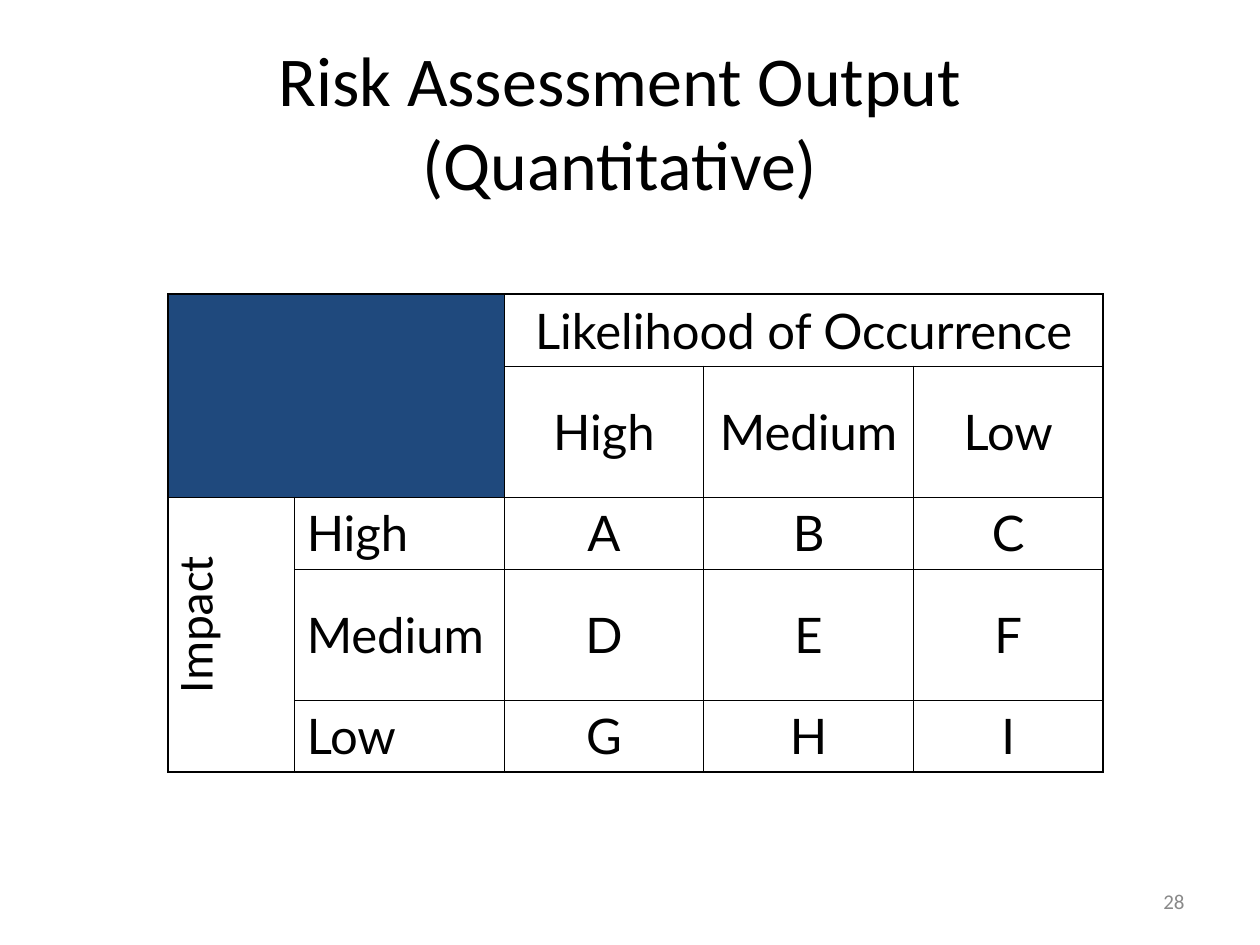
from dataclasses import dataclass

from lxml import etree
from pptx import Presentation
from pptx.dml.color import RGBColor
from pptx.enum.text import MSO_ANCHOR, MSO_AUTO_SIZE, PP_ALIGN
from pptx.oxml.ns import qn
from pptx.util import Cm, Pt

LEFT, CENTER, RIGHT = PP_ALIGN.LEFT, PP_ALIGN.CENTER, PP_ALIGN.RIGHT
MIDDLE = MSO_ANCHOR.MIDDLE
GROW = MSO_AUTO_SIZE.SHAPE_TO_FIT_TEXT


@dataclass(frozen=True)
class Theme:
    ink: str = "000000"
    navy: str = "1F497D"
    gray: str = "898989"
    font: str = "Calibri"
    grid: str = "Lato"
    head: float = 40
    body: float = 28
    small: float = 12
    thick: float = 1.08
    thin: float = 0.45


THEME = Theme()
COLS = [2.54, 4.24, 4.01, 4.24, 3.81]
ROWS = [1.45, 2.64, 1.45, 2.64, 1.45]
LEVELS = ["High", "Medium", "Low"]
GRADES = ["ABC", "DEF", "GHI"]


def style(frame, text, size, align, color=THEME.ink, font=THEME.font):
    frame.text = text
    for para in frame.paragraphs:
        para.alignment = align
        for run in para.runs:
            run.font.size = Pt(size)
            run.font.name = font
            run.font.color.rgb = RGBColor.from_string(color)


def add_title(slide, left, top, width, height):
    title = slide.shapes.title
    title.left, title.top = Cm(left), Cm(top)
    title.width, title.height = Cm(width), Cm(height)
    title.text_frame.vertical_anchor = MIDDLE
    text = "Risk Assessment Output\v(Quantitative)"
    style(title.text_frame, text, THEME.head, CENTER)


def add_page(slide, left, top, width, height):
    box = slide.shapes.add_textbox(Cm(left), Cm(top), Cm(width), Cm(height))
    box.text_frame.word_wrap = True
    box.text_frame.vertical_anchor = MIDDLE
    style(box.text_frame, "28", THEME.small, RIGHT, THEME.gray)


def set_edges(cell, row, col):
    outer = {
        "L": col == 0,
        "R": col + cell.span_width == len(COLS),
        "T": row == 0,
        "B": row + cell.span_height == len(ROWS),
    }
    props = cell._tc.get_or_add_tcPr()
    for spot, (side, edge) in enumerate(outer.items()):
        width = THEME.thick if edge else THEME.thin
        line = etree.Element(qn(f"a:ln{side}"), w=str(int(Pt(width))))
        fill = etree.SubElement(line, qn("a:solidFill"))
        etree.SubElement(fill, qn("a:srgbClr"), val=THEME.ink)
        props.insert(spot, line)


def fill_cell(cell, text, align):
    cell.vertical_anchor = MIDDLE
    style(cell.text_frame, text, THEME.body, align, font=THEME.grid)


def add_matrix(slide, left, top):
    frame = slide.shapes.add_table(
        len(ROWS), len(COLS), Cm(left), Cm(top), Cm(sum(COLS)), Cm(sum(ROWS))
    )
    table = frame.table
    table.first_row = table.horz_banding = False
    for col, width in zip(table.columns, COLS):
        col.width = Cm(width)
    for row, height in zip(table.rows, ROWS):
        row.height = Cm(height)

    cell = table.cell
    cell(0, 0).merge(cell(1, 1))
    cell(0, 2).merge(cell(0, 4))
    cell(2, 0).merge(cell(4, 0))

    fill_cell(cell(0, 2), "Likelihood of Occurrence", CENTER)
    for i, (level, grades) in enumerate(zip(LEVELS, GRADES), 2):
        fill_cell(cell(1, i), level, CENTER)
        fill_cell(cell(i, 1), level, LEFT)
        for j, grade in enumerate(grades, 2):
            fill_cell(cell(i, j), grade, CENTER)

    for i in range(len(ROWS)):
        for j in range(len(COLS)):
            cell(i, j).fill.background()
            if not cell(i, j).is_spanned:
                set_edges(cell(i, j), i, j)
    corner = cell(0, 0).fill
    corner.solid()
    corner.fore_color.rgb = RGBColor.from_string(THEME.navy)

    add_side(slide, left - 1.13, top + 5.93, 3.28, 1.45)


def add_side(slide, left, top, width, height):
    box = slide.shapes.add_textbox(Cm(left), Cm(top), Cm(width), Cm(height))
    box.rotation = 270
    box.text_frame.word_wrap = False
    box.text_frame.auto_size = GROW
    style(box.text_frame, "Impact", THEME.body, LEFT)


def main():
    deck = Presentation()
    deck.slide_width, deck.slide_height = Cm(25.4), Cm(19.05)
    slide = deck.slides.add_slide(deck.slide_layouts[5])
    add_page(slide, 18.21, 17.65, 5.92, 1.02)
    add_title(slide, 1.7, 0.84, 21.59, 3.18)
    add_matrix(slide, 3.39, 5.93)
    deck.save("out.pptx")


if __name__ == "__main__":
    main()
